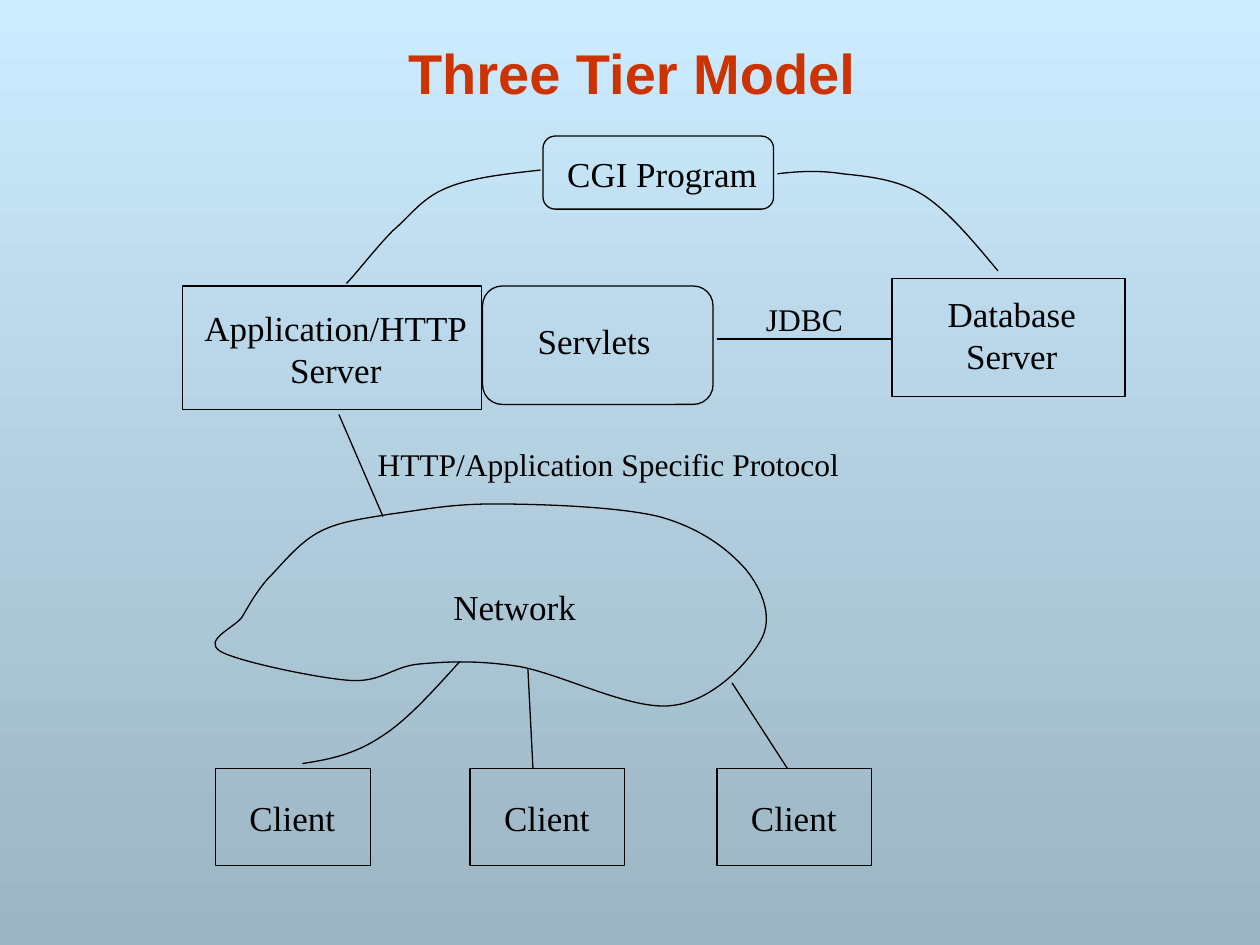
"""Build the Three Tier Model diagram slide."""
from dataclasses import dataclass

from lxml.etree import SubElement
from pptx import Presentation
from pptx.dml.color import RGBColor
from pptx.enum.shapes import MSO_CONNECTOR as Connector, MSO_SHAPE as Shape
from pptx.enum.text import MSO_ANCHOR as Anchor, MSO_AUTO_SIZE as AutoSize, PP_ALIGN as Align
from pptx.oxml.ns import qn
from pptx.util import Inches, Pt

Point = tuple[float, float]
Box = tuple[float, float, float, float]
INK = "000000"
TITLE_FONT = {"name": "Arial", "size": Pt(32), "bold": True}
NODE_FONT = {"name": "Times New Roman", "size": Pt(20)}
LINK_FONT = {"name": "Times New Roman", "size": Pt(18)}
TITLE_FRAME = {"word_wrap": True, "vertical_anchor": Anchor.BOTTOM}
LABEL_FRAME = {"word_wrap": False, "auto_size": AutoSize.SHAPE_TO_FIT_TEXT,
               "vertical_anchor": Anchor.TOP,
               "margin_left": Inches(0.08), "margin_right": Inches(0.08)}


@dataclass
class Label:
    lines: list[str]
    box: Box
    font: dict
    frame: dict
    color: str = INK


@dataclass
class Node:
    kind: Shape
    box: Box
    lines: list[str]
    label_box: Box


@dataclass
class Curve:
    start: Point
    segments: list[tuple[float, ...]]
    closed: bool = False


CLIENT_LEFTS = [1.71, 3.73, 5.69]
NODES = [
    Node(Shape.ROUNDED_RECTANGLE, (4.31, 1.08, 1.83, 0.58), ["CGI Program"], (4.4, 1.16, 1.71, 0.44)),
    Node(Shape.RECTANGLE, (7.08, 2.21, 1.85, 0.94), ["Database", "Server"], (7.42, 2.27, 1.22, 0.77)),
    Node(Shape.RECTANGLE, (1.45, 2.27, 2.37, 0.98), ["Application/HTTP", "Server"],
         (1.52, 2.38, 2.29, 0.77)),
    Node(Shape.ROUNDED_RECTANGLE, (3.83, 2.27, 1.83, 0.94), ["Servlets"], (4.17, 2.49, 1.09, 0.44)),
    *[Node(Shape.RECTANGLE, (left, 6.1, 1.23, 0.77), ["Client"], (left + 0.17, 6.27, 0.88, 0.44))
      for left in CLIENT_LEFTS],
]
LABELS = [
    Label(["Three Tier Model"], (0.6, 0.22, 8.83, 0.67), TITLE_FONT, TITLE_FRAME, "CC3300"),
    Label(["JDBC"], (5.98, 2.33, 0.81, 0.4), LINK_FONT, LABEL_FRAME),
    Label(["HTTP/Application Specific Protocol"], (2.9, 3.48, 3.86, 0.4), LINK_FONT, LABEL_FRAME),
    Label(["Network"], (3.5, 4.6, 1.17, 0.44), NODE_FONT, LABEL_FRAME),
]
LINKS = [
    ((5.69, 2.69), (7.08, 2.69)),
    ((2.69, 3.29), (3.04, 4.1)),
    ((4.19, 5.31), (4.23, 6.1)),
    ((5.81, 5.42), (6.25, 6.1)),
]
NETWORK_CLOUD = Curve((1.75, 5.17), [
    (1.61, 5.08, 1.85, 4.99, 1.92, 4.9),
    (1.98, 4.8, 2.02, 4.72, 2.12, 4.6),
    (2.23, 4.49, 2.36, 4.32, 2.52, 4.23),
    (2.68, 4.14, 2.87, 4.12, 3.1, 4.08),
    (3.34, 4.05, 3.56, 4, 3.92, 4),
    (4.27, 4, 4.9, 4.02, 5.23, 4.1),
    (5.56, 4.19, 5.78, 4.36, 5.92, 4.52),
    (6.05, 4.68, 6.14, 4.9, 6.04, 5.08),
    (5.94, 5.26, 5.65, 5.57, 5.33, 5.6),
    (5.01, 5.64, 4.46, 5.35, 4.12, 5.29),
    (3.79, 5.24, 3.56, 5.25, 3.33, 5.27),
    (3.11, 5.29, 3.03, 5.42, 2.77, 5.4),
    (2.51, 5.38, 1.89, 5.25, 1.75, 5.17),
], closed=True)
CLIENT_CURVE = Curve((3.65, 5.25), [
    (3.44, 5.48, 3.23, 5.72, 3.02, 5.85),
    (2.81, 5.99, 2.6, 6.03, 2.4, 6.06),
])
SERVER_CURVE = Curve((4.29, 1.35), [
    (4.02, 1.38, 3.74, 1.41, 3.55, 1.49),
    (3.35, 1.57, 3.26, 1.71, 3.12, 1.83),
    (2.99, 1.96, 2.82, 2.18, 2.75, 2.25),
])
DATABASE_CURVE = Curve((6.17, 1.38), [
    (6.33, 1.36, 6.5, 1.35, 6.69, 1.38),
    (6.88, 1.4, 7.12, 1.42, 7.33, 1.55),
    (7.53, 1.68, 7.72, 1.91, 7.92, 2.15),
])


def rgb(value: str) -> RGBColor:
    return RGBColor.from_string(value)


def apply_format(target, values: dict) -> None:
    for name, value in values.items():
        setattr(target, name, value)


def draw_outline(item) -> None:
    item.line.color.rgb = rgb(INK)
    item.line.width = Pt(0.75)


def draw_label(slide, label: Label) -> None:
    frame = slide.shapes.add_textbox(*map(Inches, label.box)).text_frame
    apply_format(frame, label.frame)
    frame.text = "\n".join(label.lines)
    for paragraph in frame.paragraphs:
        paragraph.alignment = Align.CENTER
        apply_format(paragraph.font, label.font)
        paragraph.font.color.rgb = rgb(label.color)


def draw_hollow(shape) -> None:
    shape.shadow.inherit = False
    shape.fill.background()
    draw_outline(shape)


def draw_node(slide, node: Node) -> None:
    draw_hollow(slide.shapes.add_shape(node.kind, *map(Inches, node.box)))
    draw_label(slide, Label(node.lines, node.label_box, NODE_FONT, LABEL_FRAME))


def draw_link(slide, start: Point, end: Point) -> None:
    link = slide.shapes.add_connector(Connector.STRAIGHT, *map(Inches, start + end))
    draw_outline(link)
    SubElement(link._element.spPr, qn("a:effectLst"))


def bend_segments(shape) -> None:
    """Merge each run of three line segments into one cubic Bézier segment."""
    lines = list(shape._element.iter(qn("a:lnTo")))
    for first, second, third in zip(lines[::3], lines[1::3], lines[2::3]):
        first.tag = qn("a:cubicBezTo")
        for line in (second, third):
            first.append(line[0])
            line.getparent().remove(line)


def draw_curve(slide, curve: Curve) -> None:
    controls = [(Inches(x), Inches(y)) for segment in curve.segments
                for x, y in zip(segment[::2], segment[1::2])]
    outline = slide.shapes.build_freeform(*map(Inches, curve.start))
    outline.add_line_segments(controls, close=curve.closed)
    shape = outline.convert_to_shape()
    bend_segments(shape)
    draw_hollow(shape)


def main() -> None:
    deck = Presentation()
    deck.slide_width, deck.slide_height = Inches(10), Inches(7.5)
    slide = deck.slides.add_slide(deck.slide_layouts[6])
    sky = slide.background.fill
    sky.gradient()
    sky.gradient_angle = 270
    for stop, color in zip(sky.gradient_stops, ["CCECFF", "9BB4C2"]):
        stop.color.rgb = rgb(color)
    for node in NODES:
        draw_node(slide, node)
    for curve in (NETWORK_CLOUD, CLIENT_CURVE, SERVER_CURVE, DATABASE_CURVE):
        draw_curve(slide, curve)
    for start, end in LINKS:
        draw_link(slide, start, end)
    for label in LABELS:
        draw_label(slide, label)
    deck.save("out.pptx")


if __name__ == "__main__":
    main()
